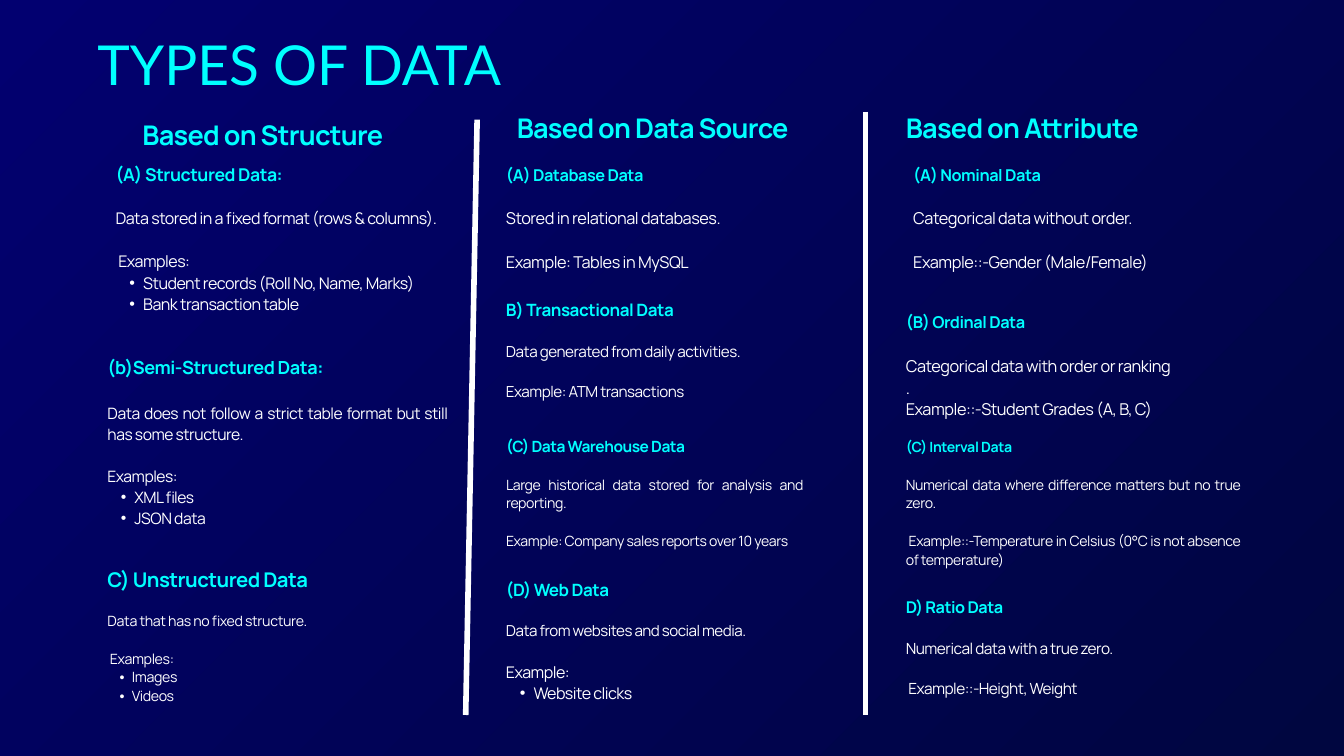
from dataclasses import dataclass

from lxml.etree import SubElement
from pptx import Presentation
from pptx.dml.color import RGBColor
from pptx.enum.shapes import MSO_CONNECTOR
from pptx.enum.text import MSO_ANCHOR, MSO_AUTO_SIZE, PP_ALIGN
from pptx.oxml.ns import qn
from pptx.util import Emu

CYAN = RGBColor(0x00, 0xFF, 0xFF)
WHITE = RGBColor(0xFF, 0xFF, 0xFF)
NAVY = RGBColor(0x02, 0x00, 0x70)
MIDNIGHT = RGBColor(0x00, 0x06, 0x40)
TITLE_FONT, FONT = "Lato", "Manrope"
LEADING = 1.33
TRACKING = -0.028


@dataclass
class Section:
    """One kind of data; sizes are in points, the box is in px."""
    box: tuple
    heading: str
    heading_size: float
    body_size: float
    definition: str
    example: str
    bullets: tuple = ()
    tail: str = ""
    gap_size: float = 0
    example_size: float = 0


COLUMN_HEADINGS = [
    ((212, 171, 414, 54), "Based on Structure"),
    ((769, 160, 498, 54), "Based on Data Source"),
    ((1348, 160, 498, 54), "Based on Attribute"),
]

SECTIONS = [
    Section((172, 241, 494, 289), "(A) Structured Data:", 18.9, 17.2,
            "Data stored in a fixed format (rows & columns).", " Examples:",
            ("Student records (Roll No, Name, Marks)", "Bank transaction table")),
    Section((160, 527, 506, 286), "(b)Semi-Structured Data:", 19.4, 16.8,
            "Data does not follow a strict table format but still has some structure.",
            "Examples:", ("XML files", "JSON data"), gap_size=19.4),
    Section((160, 840, 506, 262), "C) Unstructured Data", 21.7, 15.2,
            "Data that has no fixed structure.", " Examples:", ("Images", "Videos")),
    Section((753, 242, 476, 189), "(A) Database Data", 17.5, 17.5,
            "Stored in relational databases.", "Example: Tables in MySQL"),
    Section((753, 442, 426, 179), "B) Transactional Data", 18.2, 16.3,
            "Data generated from daily activities.", "Example: ATM transactions"),
    Section((753, 647, 442, 216), "(C) Data Warehouse Data", 16.6, 15.1,
            "Large historical data stored for analysis and reporting.",
            "Example: Company sales reports over 10 years"),
    Section((753, 859, 426, 269), "(D) Web Data", 18.2, 16.2,
            "Data from websites and social media.", "Example:", ("Website clicks",),
            example_size=17.2),
    Section((1359, 242, 520, 192), "(A) Nominal Data", 17.5, 17.5,
            "Categorical data without order.", "Example::-Gender (Male/Female)"),
    Section((1348, 462, 498, 192), "(B) Ordinal Data", 17.5, 17.5,
            "Categorical data with order or ranking",
            "Example::-Student Grades (A, B, C)", tail="."),
    Section((1348, 650, 498, 221), "(C) Interval Data", 15.1, 15.1,
            "Numerical data where difference matters but no true zero.",
            " Example::-Temperature in Celsius (0°C is not absence of temperature)"),
    Section((1348, 885, 531, 234), "D) Ratio Data", 17.4, 16.5,
            "Numerical data with a true zero.", " Example::-Height, Weight"),
]

DIVIDERS = [((710, 178), (693, 1064), 6), ((1288, 166), (1288, 1064), 4.5)]


def px(n):
    """Convert px, 100 to the inch, to EMU."""
    return Emu(n * 9144)


def points(n):
    return Emu(round(n * 12700))


def set_background(s):
    """Radial gradient that spreads from the top left corner."""
    fill = s.background.fill
    fill.gradient()
    for stop, color in zip(fill.gradient_stops, (NAVY, MIDNIGHT)):
        stop.color.rgb = color
    grad = s.element.find(".//" + qn("a:gradFill"))
    grad.remove(grad.find(qn("a:lin")))
    path = SubElement(grad, qn("a:path"), path="circle")
    SubElement(path, qn("a:fillToRect"), l="0", t="0", r="100000", b="100000")


def prepare_frame(tf):
    tf.word_wrap = True
    tf.auto_size = MSO_AUTO_SIZE.NONE
    tf.vertical_anchor = MSO_ANCHOR.TOP
    tf.margin_left = tf.margin_top = tf.margin_right = tf.margin_bottom = 0


def add_frame(s, box):
    tf = s.shapes.add_textbox(*map(px, box)).text_frame
    prepare_frame(tf)
    return tf


def add_run(p, text, size, color, font=FONT, bold=False):
    r = p.add_run()
    r.text = text
    r.font.size = points(size)
    r.font.name = font
    r.font.bold = bold
    r.font.color.rgb = color
    if font == FONT:
        r.font._element.set("spc", str(round(TRACKING * size, 1) * 100).split(".")[0])


def format_paragraph(p, leading, gap=0):
    p.alignment = PP_ALIGN.JUSTIFY
    p.line_spacing = points(round(leading, 1))
    if gap:
        p.space_before = points(round(gap, 1))


def add_heading(tf, text, size):
    p = tf.paragraphs[0]
    format_paragraph(p, size * LEADING)
    add_run(p, text, size, CYAN, bold=True)


def add_body(tf, text, size, gap_size=0):
    p = tf.add_paragraph()
    format_paragraph(p, size * LEADING, gap_size * LEADING)
    add_run(p, text, size, WHITE)
    return p


def add_bullet(tf, text, size):
    p = add_body(tf, text, size)
    p.level = 1
    indent = points(size * 0.86)
    pPr = p._p.get_or_add_pPr()
    pPr.set("marL", str(2 * indent))
    pPr.set("indent", str(-indent))
    SubElement(pPr, qn("a:buFont"), typeface="Arial")
    SubElement(pPr, qn("a:buChar"), char="•")


def add_section(s, section):
    tf = add_frame(s, section.box)
    size = section.body_size
    example_size = section.example_size or size
    add_heading(tf, section.heading, section.heading_size)
    add_body(tf, section.definition, size, section.gap_size or size)
    if section.tail:
        add_body(tf, section.tail, size)
    add_body(tf, section.example, example_size, 0 if section.tail else size)
    for text in section.bullets:
        add_bullet(tf, text, example_size)


def add_title(s, text):
    title = s.shapes.title
    title.left, title.top, title.width, title.height = map(px, (145, 67, 991, 83))
    prepare_frame(title.text_frame)
    p = title.text_frame.paragraphs[0]
    format_paragraph(p, 54.9)
    add_run(p, text, 59, CYAN, TITLE_FONT)


def add_divider(s, start, end, width):
    line = s.shapes.add_connector(MSO_CONNECTOR.STRAIGHT, *map(px, start + end))
    line.line.color.rgb = WHITE
    line.line.width = points(width)
    SubElement(line._element.spPr, qn("a:effectLst"))


def main():
    prs = Presentation()
    prs.slide_width, prs.slide_height = px(2000), px(1125)
    s = prs.slides.add_slide(prs.slide_layouts[5])
    set_background(s)
    add_title(s, "TYPES OF DATA")
    for box, text in COLUMN_HEADINGS:
        add_heading(add_frame(s, box), text, 29)
    for section in SECTIONS:
        add_section(s, section)
    for divider in DIVIDERS:
        add_divider(s, *divider)
    prs.save("out.pptx")


if __name__ == "__main__":
    main()
